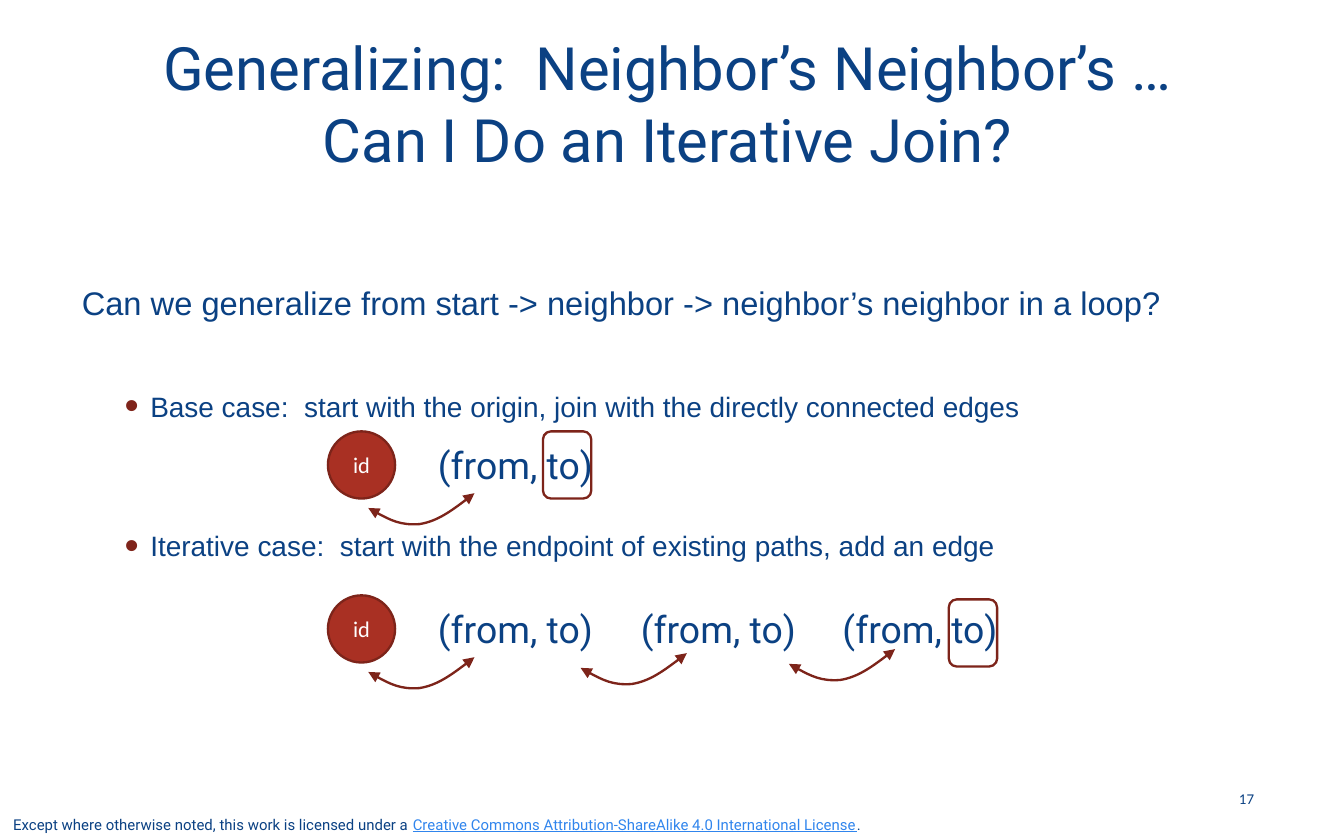
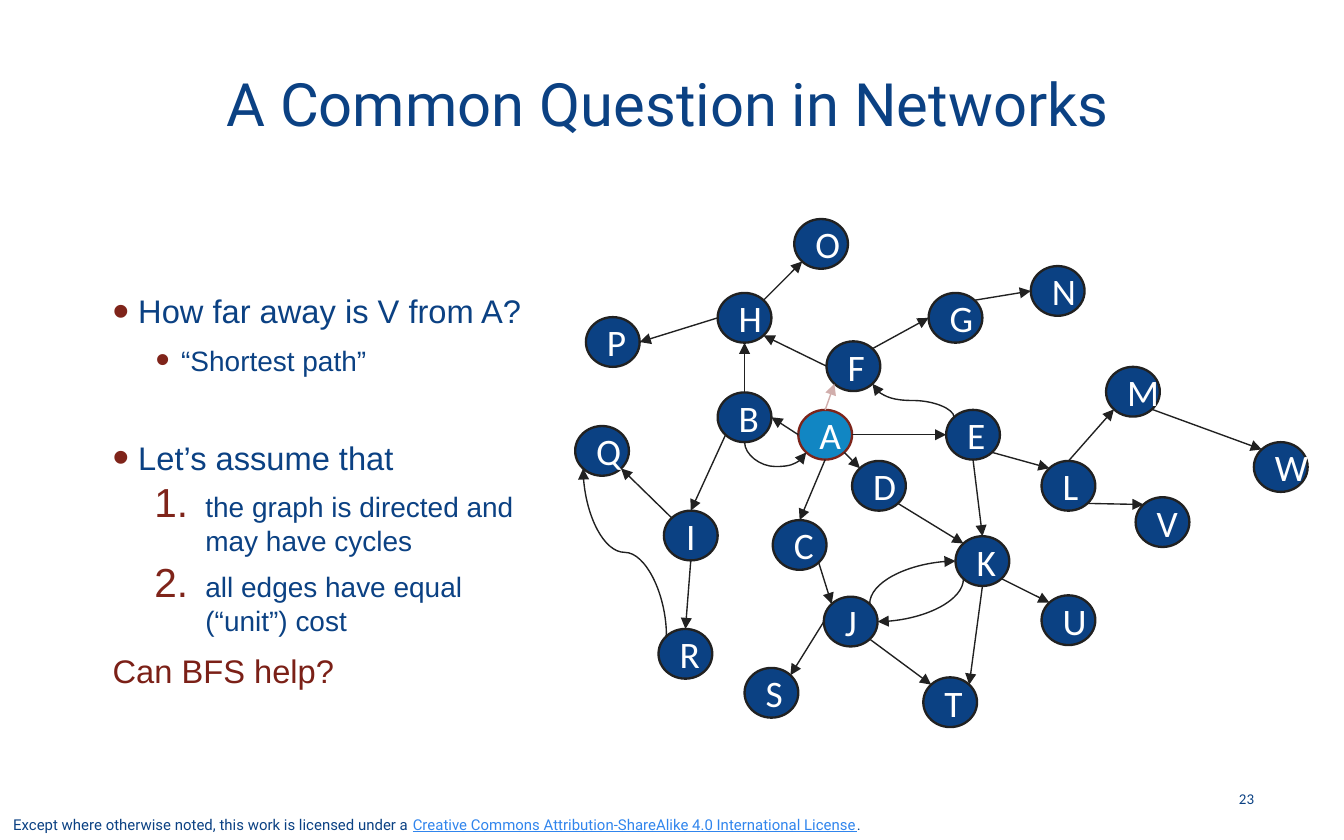
from math import cos, radians, sin

from lxml import etree
from pptx import Presentation
from pptx.dml.color import RGBColor
from pptx.enum.shapes import MSO_CONNECTOR, MSO_SHAPE
from pptx.enum.text import MSO_ANCHOR, MSO_AUTO_SIZE, PP_ALIGN
from pptx.oxml.ns import qn
from pptx.util import Pt

PX = 9144
NAVY = RGBColor(0x0B, 0x41, 0x83)
LINK = RGBColor(0x30, 0x85, 0xED)
RED = RGBColor(0xA9, 0x30, 0x23)
DARK_RED = RGBColor(0x7D, 0x24, 0x1A)
BULLET_RED = RGBColor(0x7F, 0x24, 0x1A)
QUESTION_RED = RGBColor(0x7B, 0x20, 0x17)
PALE_RED = RGBColor(0xD1, 0xAE, 0xAC)
BLUE = RGBColor(0x11, 0x86, 0xC3)
BLACK = RGBColor(0x21, 0x21, 0x21)
WHITE = RGBColor(0xFF, 0xFF, 0xFF)

OVAL, ROUNDED = MSO_SHAPE.OVAL, MSO_SHAPE.ROUNDED_RECTANGLE
STRAIGHT, CURVE = MSO_CONNECTOR.STRAIGHT, MSO_CONNECTOR.CURVE
MIDDLE, TOP, BOTTOM = MSO_ANCHOR.MIDDLE, MSO_ANCHOR.TOP, MSO_ANCHOR.BOTTOM
LEFT, CENTER, RIGHT = PP_ALIGN.LEFT, PP_ALIGN.CENTER, PP_ALIGN.RIGHT
GROW = MSO_AUTO_SIZE.SHAPE_TO_FIT_TEXT

SITES = ["n", "nw", "w", "sw", "s", "se", "e", "ne"]
NODE_W, NODE_H = 40, 37
ARC = [(12, 7), (24, 13), (38, 12), (51, 10), (65, 0), (79, -11)]

NODES = {
    "B": (534, 292), "C": (575, 387), "D": (634, 343), "F": (615, 254),
    "E": (704, 305), "A": (594, 305), "G": (691, 218), "L": (775, 343),
    "K": (711, 399), "J": (613, 444), "I": (494, 380), "H": (534, 218),
    "M": (823, 273), "V": (845, 370), "W": (933, 329), "U": (775, 443),
    "T": (687, 504), "S": (554, 497), "R": (490, 468), "Q": (428, 317),
    "P": (436, 236), "O": (591, 163), "N": (767, 198),
}
EDGES = [
    "A n F sw", "A e E w", "A se D nw", "A s C n", "A w B e", "B n H s",
    "B sw I n", "C se J nw", "D se K nw", "E se L nw", "F ne G w",
    "L n M sw", "M se W nw", "F w H se", "H ne O sw", "H w P e",
    "I nw Q se", "I s R n", "J w S ne", "K se U nw", "J se T nw",
    "K s T ne", "E s K n", "G ne N w", "L se V nw",
]
CURVES = [
    ("B s A sw", "curvedConnector3", 270, "H", 238800),
    ("E nw F se", "curvedConnector3", 270, "V", 50000),
    ("J ne K w", "curvedConnector2", 90, "HV", None),
    ("K sw J e", "curvedConnector2", 90, "", None),
    ("R nw Q sw", "curvedConnector3", 270, "V", 50000),
]


def put(obj, **values):
    for name, value in values.items():
        setattr(obj, name, value)


def add_xml(parent, tag, **attrs):
    el = etree.SubElement(parent, qn(tag))
    for name, value in attrs.items():
        el.set(name, str(value))
    return el


class Deck:
    def __init__(self):
        self.prs = Presentation()
        put(self.prs, slide_width=1000 * PX, slide_height=625 * PX)
        self.s = None

    def slide(self, title, number):
        self.s = self.prs.slides.add_slide(self.prs.slide_layouts[6])
        tf = self.box(0, 602, 750, 23, BOTTOM)
        p = tf.paragraphs[0]
        self.run(p, "Except where otherwise noted, this work is licensed under a ", 8)
        self.run(p, "Creative Commons Attribution-ShareAlike 4.0 International License",
                 8, color=LINK, underline=True)
        self.run(p, ".", 8)
        self.label(self.box(51, 17, 892, 119), title, 32)
        self.label(self.box(898, 578, 45, 33), str(number), 8, "Calibri", align=RIGHT)

    def box(self, x, y, w, h, anchor=MIDDLE):
        tf = self.s.shapes.add_textbox(x * PX, y * PX, w * PX, h * PX).text_frame
        put(tf, word_wrap=True, vertical_anchor=anchor)
        return tf

    def run(self, p, text, size, font="Roboto", color=NAVY, underline=None):
        for i, line in enumerate(text.split("\n")):
            if i:
                p.add_line_break()
            r = p.add_run()
            r.text = line
            put(r.font, size=Pt(size), name=font, underline=underline)
            r.font.color.rgb = color

    def label(self, tf, text, size, font="Roboto", color=NAVY, align=CENTER):
        p = tf.paragraphs[0]
        p.alignment = align
        self.run(p, text, size, font, color)

    def pair(self, x, y):
        tf = self.box(x, y, 141, 44, TOP)
        put(tf, word_wrap=False, auto_size=GROW)
        self.label(tf, "(from, to)", 20, align=LEFT)

    def body(self, x, y, w, h, items):
        tf = self.box(x, y, w, h)
        for i, (text, level, bullet, before, color) in enumerate(items):
            p = tf.add_paragraph() if i else tf.paragraphs[0]
            size = 15 if level else 17.5
            put(p, level=level, space_before=Pt(before or size / 5), space_after=Pt(3.8))
            self.run(p, text, size, "Arial", color)
            if bullet:
                self.bullet(p, bullet, level)

    def bullet(self, p, bullet, level):
        numbered = bullet == "1."
        margin = 69 if numbered else 51 if level else 19
        pPr = p._p.get_or_add_pPr()
        pPr.set("marL", str(margin * PX))
        pPr.set("indent", str(-(38 if numbered else 19) * PX))
        add_xml(add_xml(pPr, "a:buClr"), "a:srgbClr", val=BULLET_RED)
        add_xml(pPr, "a:buSzPct", val=145000)
        if numbered:
            add_xml(pPr, "a:buAutoNum", type="arabicPeriod")
        else:
            add_xml(pPr, "a:buFont", typeface="Arial")
            add_xml(pPr, "a:buChar", char=bullet)

    def outline(self, sp, color, width):
        sp.line.color.rgb = color
        sp.line.width = Pt(width)

    def shape(self, kind, x, y, w, h, line, fill=None, text="", size=20):
        sp = self.s.shapes.add_shape(kind, x * PX, y * PX, w * PX, h * PX)
        sp.shadow.inherit = False
        self.outline(sp, line, 1.25)
        if fill is None:
            sp.fill.background()
        else:
            sp.fill.solid()
            sp.fill.fore_color.rgb = fill
        if text:
            sp.text_frame.vertical_anchor = MIDDLE
            self.label(sp.text_frame, text, size, "Calibri", WHITE)
        return sp

    def arrowheads(self, sp, *ends):
        ln = sp.line._get_or_add_ln()
        for end in ends:
            add_xml(ln, end, type="triangle")

    def arc(self, x, y):
        fb = self.s.shapes.build_freeform(x, y, scale=PX)
        fb.add_line_segments([(x + dx, y + dy) for dx, dy in ARC], close=False)
        sp = fb.convert_to_shape()
        sp.shadow.inherit = False
        sp.fill.background()
        self.outline(sp, DARK_RED, 1.25)
        self.arrowheads(sp, "a:headEnd", "a:tailEnd")
        lines = list(sp._element.iter(qn("a:lnTo")))
        outline = lines[0].getparent()
        for i in range(0, len(lines), 3):
            bez = add_xml(outline, "a:cubicBezTo")
            for ln in lines[i:i + 3]:
                bez.append(ln[0])
                outline.remove(ln)

    def site(self, node, side):
        angle = radians(90 + 45 * SITES.index(side))
        return (round(node.left + node.width / 2 * (1 + cos(angle))),
                round(node.top + node.height / 2 * (1 - sin(angle))))

    def connector(self, kind, start, end, color):
        c = self.s.shapes.add_connector(kind, *start, *end)
        self.outline(c, color, 0.75)
        self.arrowheads(c, "a:tailEnd")
        add_xml(c._element.spPr, "a:effectLst")
        return c

    def edge(self, nodes, route, color):
        a, side_a, b, side_b = route.split()
        start, end = self.site(nodes[a], side_a), self.site(nodes[b], side_b)
        c = self.connector(STRAIGHT, start, end, color)
        c._connect_begin_to(nodes[a], SITES.index(side_a))
        c._connect_end_to(nodes[b], SITES.index(side_b))

    def curve(self, nodes, route, preset, turn, flips, bend):
        a, side_a, b, side_b = route.split()
        start, end = self.site(nodes[a], side_a), self.site(nodes[b], side_b)
        c = self.connector(CURVE, start, end, BLACK)
        w, h = abs(end[1] - start[1]), abs(end[0] - start[0])
        put(c, left=(start[0] + end[0] - w) // 2, top=(start[1] + end[1] - h) // 2,
            width=w, height=h)
        spPr = c._element.spPr
        xfrm = spPr.find(qn("a:xfrm"))
        xfrm.set("rot", str(turn * 60000))
        for axis in "HV":
            xfrm.set("flip" + axis, str(int(axis in flips)))
        geom = spPr.find(qn("a:prstGeom"))
        geom.set("prst", preset)
        if bend:
            guides = geom.find(qn("a:avLst"))
            if guides is None:
                guides = add_xml(geom, "a:avLst")
            add_xml(guides, "a:gd", name="adj1", fmla=f"val {bend}")


def iterative_join(deck):
    deck.slide("Generalizing:  Neighbor’s Neighbor’s …\nCan I Do an Iterative Join?", 17)
    deck.body(51, 109, 892, 411, [
        ("Can we generalize from start -> neighbor -> neighbor’s neighbor in a loop?",
         0, None, None, NAVY),
        ("Base case:  start with the origin, join with the directly connected edges",
         1, "•", 32, NAVY),
        ("Iterative case:  start with the endpoint of existing paths, add an edge",
         1, "•", 53, NAVY),
    ])
    for y, pairs in ((321, [316]), (443, [316, 467, 617])):
        deck.shape(OVAL, 244, y, 50, 50, DARK_RED, RED, "id", 12)
        for x in pairs:
            deck.pair(x, y + 3)
    for x, y in ((274, 378), (274, 500), (432, 497), (587, 494)):
        deck.arc(x, y)
    for x, y in ((404, 321), (706, 446)):
        deck.shape(ROUNDED, x, y, 36, 50, DARK_RED)


def network_question(deck):
    deck.slide("A Common Question in Networks", 23)
    deck.body(74, 163, 336, 404, [
        ("How far away is V from A?", 0, "•", None, NAVY),
        ("“Shortest path”", 1, "•", None, NAVY),
        ("Let’s assume that", 0, "•", 29, NAVY),
        ("the graph is directed and may have cycles", 1, "1.", None, NAVY),
        ("all edges have equal (“unit”) cost", 1, "1.", None, NAVY),
        ("Can BFS help?", 0, None, None, QUESTION_RED),
    ])
    nodes = {}
    for name, (x, y) in NODES.items():
        line, fill = (DARK_RED, BLUE) if name == "A" else (BLACK, NAVY)
        nodes[name] = deck.shape(OVAL, x, y, NODE_W, NODE_H, line, fill, name)
    for route in EDGES:
        deck.edge(nodes, route, PALE_RED if route == "A n F sw" else BLACK)
    for curve in CURVES:
        deck.curve(nodes, *curve)


def main():
    deck = Deck()
    iterative_join(deck)
    network_question(deck)
    deck.prs.save("out.pptx")


if __name__ == "__main__":
    main()
